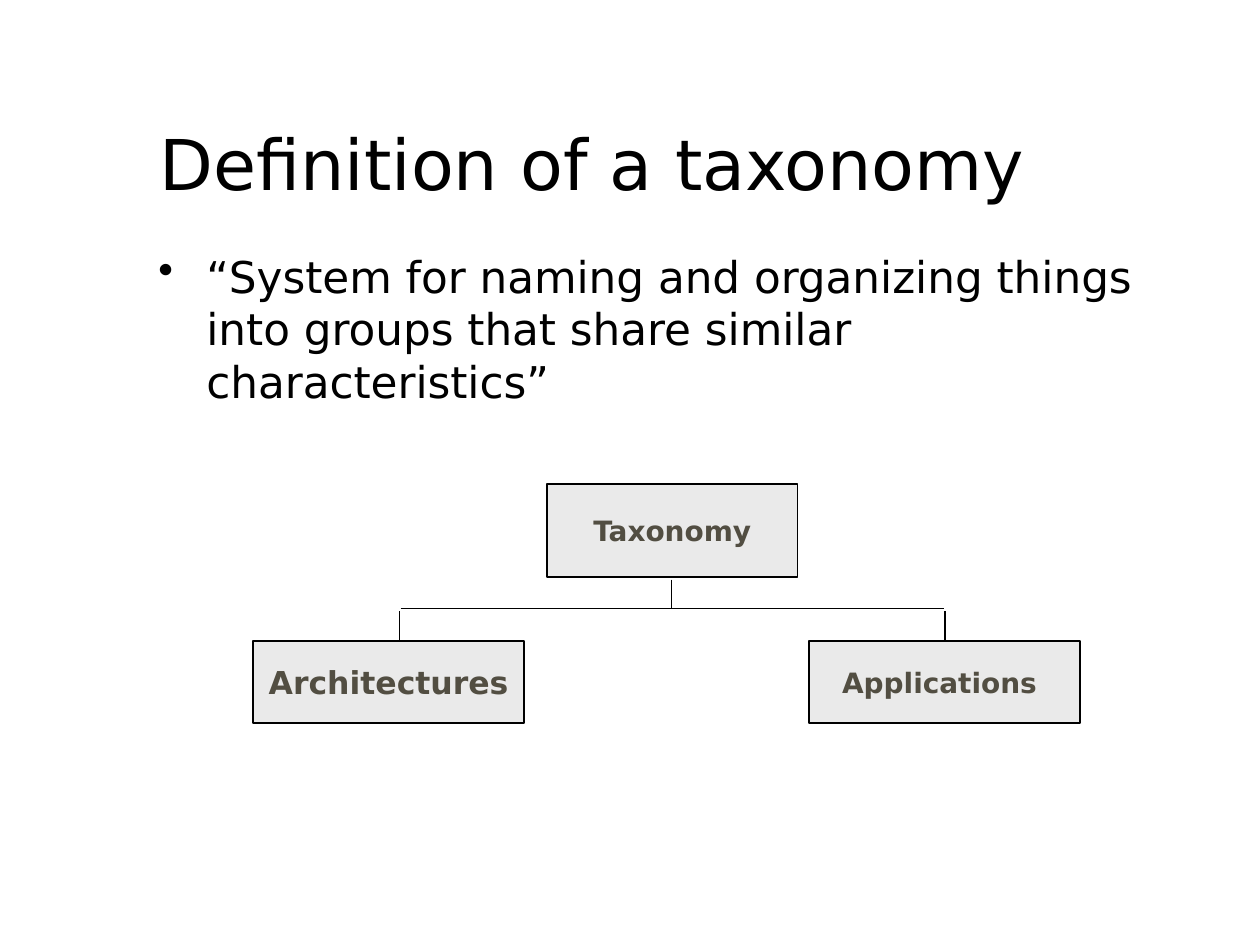
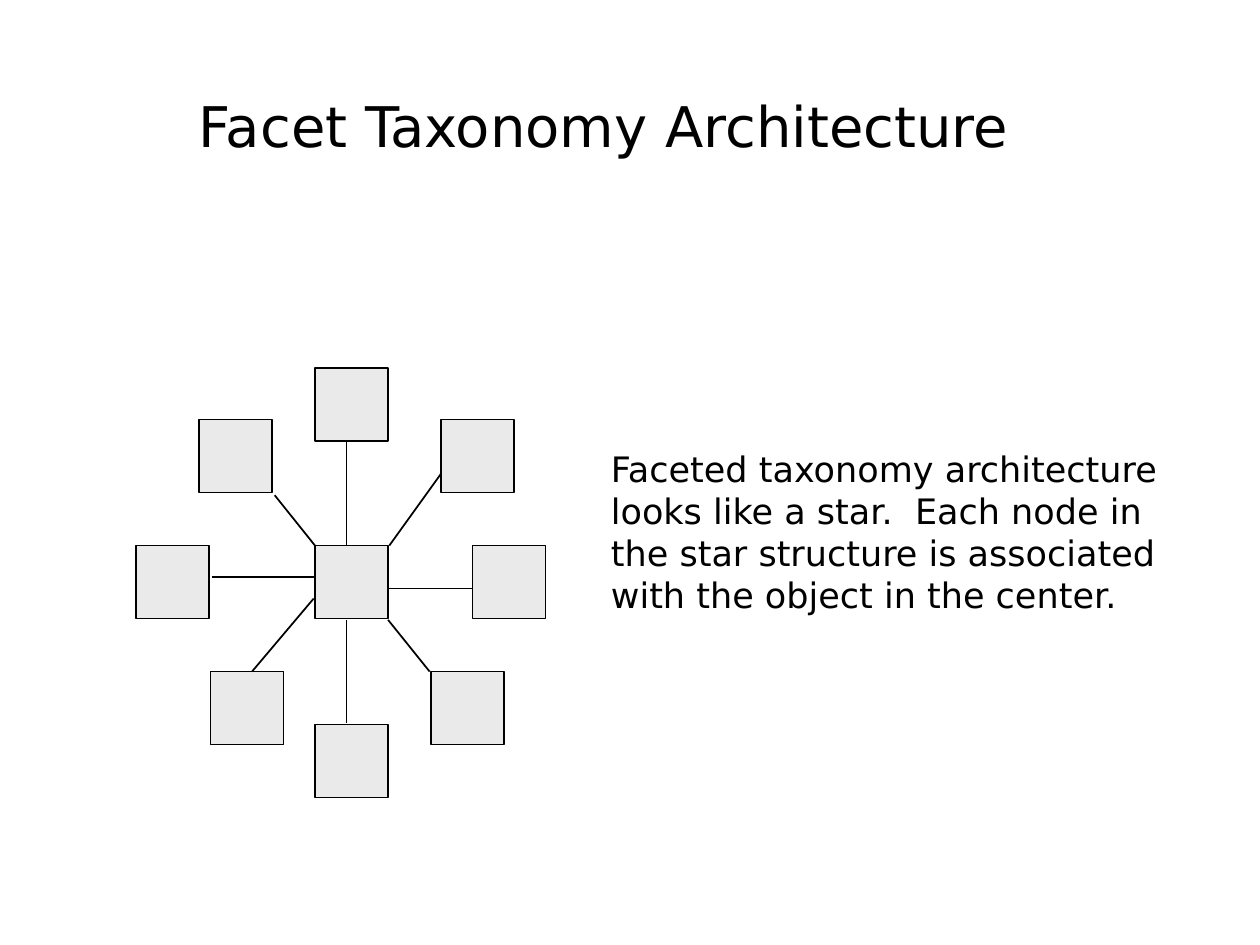
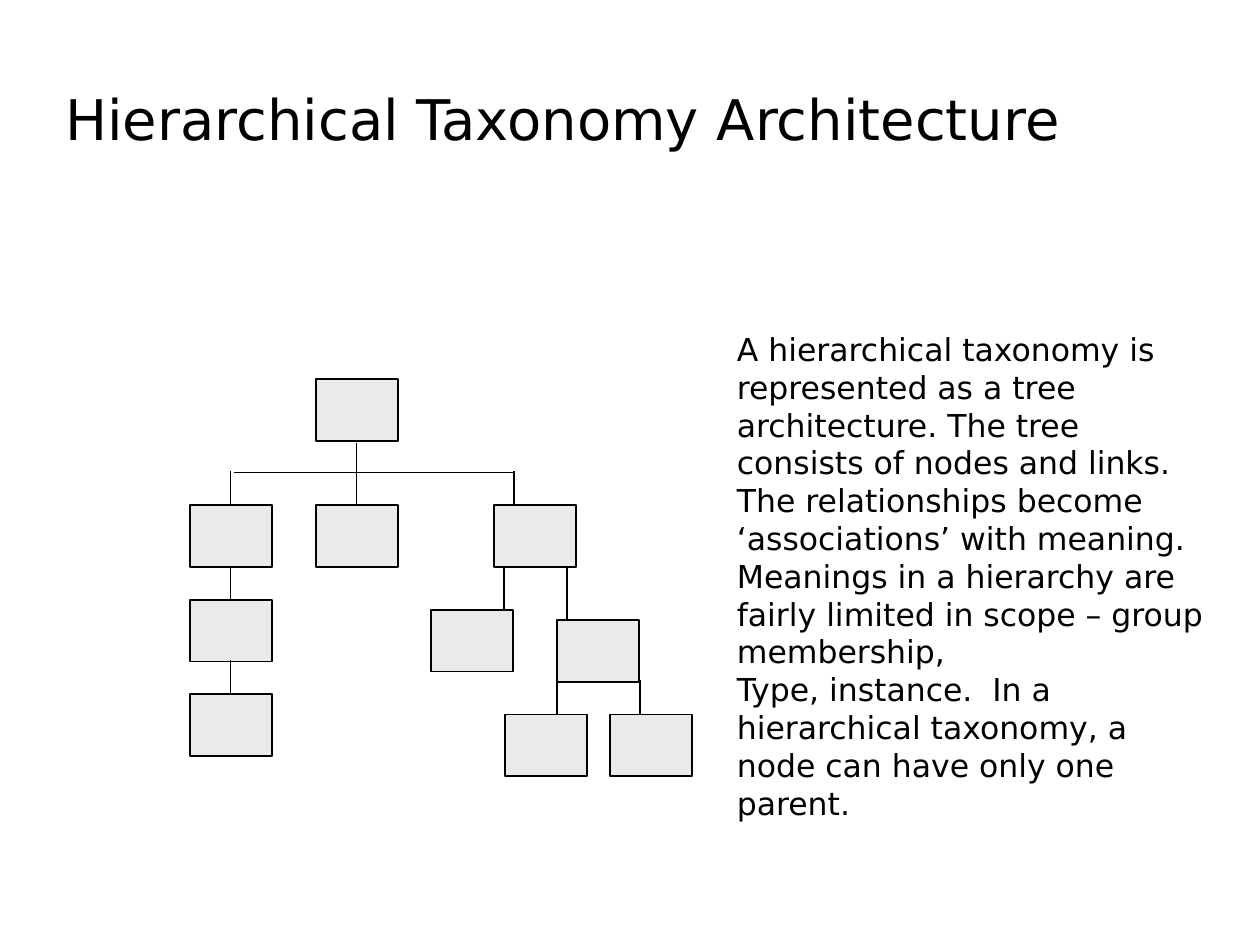
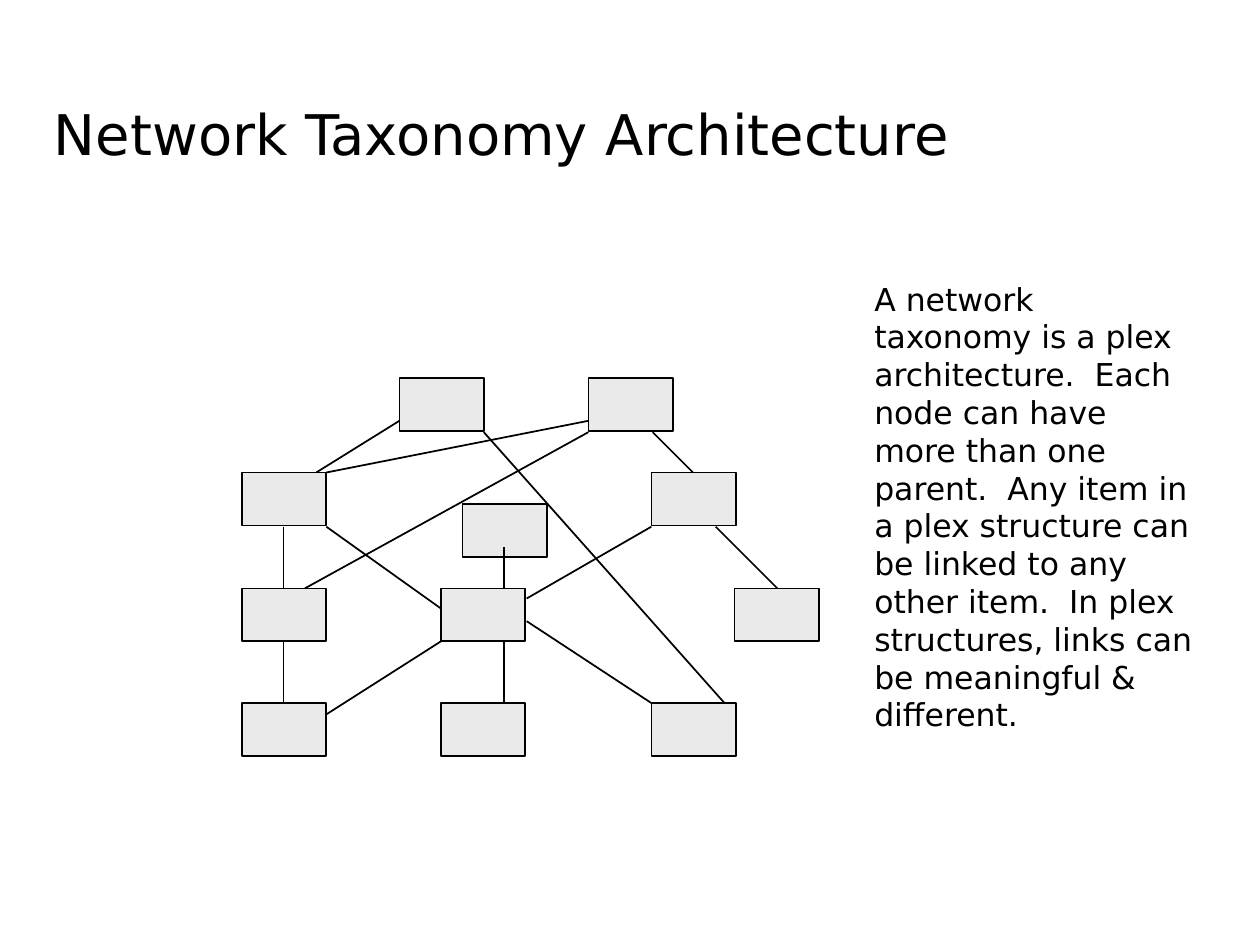
from typing import NamedTuple

from lxml.etree import SubElement
from pptx import Presentation
from pptx.dml.color import RGBColor
from pptx.enum.shapes import MSO_CONNECTOR, MSO_SHAPE
from pptx.enum.text import MSO_ANCHOR, MSO_AUTO_SIZE, PP_ALIGN
from pptx.oxml.ns import qn
from pptx.slide import Slide
from pptx.util import Emu, Pt

# Shared style: 100 px to the inch
EMU_PER_PX = 9144
FONT = "DejaVu Sans"
BLACK = "000000"
NODE_FILL = "EAEAEA"
LABEL_COLOR = "524E42"
BULLET_INDENT = 38


class Box(NamedTuple):
    left: int
    top: int
    width: int
    height: int


class Size(NamedTuple):
    width: int
    height: int


class Point(NamedTuple):
    x: int
    y: int


class Link(NamedTuple):
    x1: int
    y1: int
    x2: int
    y2: int


class LabeledNode(NamedTuple):
    label: str
    box: Box
    size: int


class Diagram(NamedTuple):
    title: str
    title_box: Box
    node_size: Size
    nodes: list[Point]
    links: list[Link]
    description: list[str]
    description_box: Box
    description_size: int


def px(length: int) -> Emu:
    return Emu(length * EMU_PER_PX)


def color(value: str) -> RGBColor:
    return RGBColor.from_string(value)


def add_run(paragraph, text: str, size: int, fill: str = BLACK, bold: bool = False) -> None:
    run = paragraph.add_run()
    run.text = text
    run.font.name = FONT
    run.font.size = Pt(size)
    run.font.bold = bold
    run.font.color.rgb = color(fill)


def add_text(slide: Slide, box: Box, paragraphs: list[str], size: int,
             anchor: MSO_ANCHOR = MSO_ANCHOR.TOP, bullet: bool = False,
             grow: bool = False) -> None:
    frame = slide.shapes.add_textbox(*map(px, box)).text_frame
    frame.word_wrap = True
    frame.vertical_anchor = anchor
    frame.auto_size = MSO_AUTO_SIZE.SHAPE_TO_FIT_TEXT if grow else MSO_AUTO_SIZE.NONE
    for index, text in enumerate(paragraphs):
        paragraph = frame.add_paragraph() if index else frame.paragraphs[0]
        if bullet:
            properties = paragraph._p.get_or_add_pPr()
            properties.set("marL", str(px(BULLET_INDENT)))
            properties.set("indent", str(px(-BULLET_INDENT)))
            SubElement(properties, qn("a:buChar")).set("char", "•")
        add_run(paragraph, text, size)


def add_title(slide: Slide, text: str, box: Box, size: int = 32) -> None:
    add_text(slide, box, [text], size, MSO_ANCHOR.BOTTOM)


def add_node(slide: Slide, box: Box, label: str = "", size: int = 16) -> None:
    node = slide.shapes.add_shape(MSO_SHAPE.RECTANGLE, *map(px, box))
    node.shadow.inherit = False
    node.fill.solid()
    node.fill.fore_color.rgb = color(NODE_FILL)
    node.line.color.rgb = color(BLACK)
    node.line.width = Pt(1)
    if label:
        frame = node.text_frame
        frame.word_wrap = False
        frame.vertical_anchor = MSO_ANCHOR.MIDDLE
        frame.paragraphs[0].alignment = PP_ALIGN.CENTER
        add_run(frame.paragraphs[0], label, size, LABEL_COLOR, bold=True)


def add_link(slide: Slide, link: Link) -> None:
    line = slide.shapes.add_connector(MSO_CONNECTOR.STRAIGHT, *map(px, link))
    line.line.color.rgb = color(BLACK)
    line.line.width = Pt(1)
    SubElement(line._element.spPr, qn("a:effectLst"))


def draw_definition(slide: Slide) -> None:
    add_title(slide, "Definition of a taxonomy", Box(117, 42, 850, 125), 40)
    add_text(slide, Box(116, 193, 850, 450),
             ["“System for naming and organizing things into groups "
              "that share similar characteristics”"], 25, bullet=True)
    for node in TAXONOMY_PARTS:
        add_node(slide, node.box, node.label, node.size)
    for link in TAXONOMY_LINKS:
        add_link(slide, link)


def draw_diagram(slide: Slide, diagram: Diagram) -> None:
    add_title(slide, diagram.title, diagram.title_box)
    for node in diagram.nodes:
        add_node(slide, Box(*node, *diagram.node_size))
    for link in diagram.links:
        add_link(slide, link)
    add_text(slide, diagram.description_box, diagram.description,
             diagram.description_size, grow=True)


# Definition: root with two branches
TAXONOMY_PARTS = [
    LabeledNode("Taxonomy", Box(434, 384, 199, 74), 16),
    LabeledNode("Architectures", Box(201, 509, 215, 65), 18),
    LabeledNode("Applications ", Box(642, 509, 215, 65), 16),
]
TAXONOMY_LINKS = [
    Link(533, 460, 533, 483),
    Link(318, 483, 749, 483),
    *(Link(x, 485, x, 508) for x in (317, 750)),
]

# Facet: star around a center node
HUB = Point(250, 433)
STAR_OFFSETS = [(0, 0), (100, -100), (125, 0), (92, 100), (0, 142),
                (-83, 100), (-142, 0), (-92, -100), (0, -141)]
FACET = Diagram(
    title="Facet Taxonomy Architecture",
    title_box=Box(148, 62, 810, 69),
    node_size=Size(58, 58),
    nodes=[Point(HUB.x + dx, HUB.y + dy) for dx, dy in STAR_OFFSETS],
    links=[
        Link(275, 351, 275, 433), Link(350, 376, 309, 433),
        Link(375, 467, 309, 467), Link(341, 533, 308, 492),
        Link(275, 574, 275, 492), Link(200, 533, 249, 475),
        Link(168, 458, 250, 458), Link(218, 393, 250, 433),
    ],
    description=["Faceted taxonomy architecture looks like a star.  Each node in "
                 "the star structure is associated with the object in the center."],
    description_box=Box(475, 350, 475, 143),
    description_size=20,
)

# Hierarchy: tree with one parent per node
HIERARCHY = Diagram(
    title="Hierarchical Taxonomy Architecture",
    title_box=Box(42, 43, 908, 82),
    node_size=Size(65, 49),
    nodes=[
        Point(251, 301),
        *(Point(x, 401) for x in (151, 251, 392)),
        Point(442, 492), Point(342, 484),
        *(Point(151, y) for y in (476, 551)),
        *(Point(x, 567) for x in (484, 401)),
    ],
    links=[
        Link(283, 352, 283, 374),
        Link(186, 375, 407, 375),
        *(Link(x, 400, x, 374) for x in (183, 283, 408)),
        *(Link(183, y, 183, y - 26) for y in (475, 550)),
        Link(400, 484, 400, 449),
        Link(450, 492, 450, 449),
        *(Link(x, 567, x, 540) for x in (442, 508)),
    ],
    description=[
        "A hierarchical taxonomy is",
        "represented as a tree architecture. The tree consists of nodes and links. "
        "The relationships become ‘associations’ with meaning.  Meanings in a "
        "hierarchy are fairly limited in scope – group membership,",
        "Type, instance.  In a hierarchical taxonomy, a node can have only one parent.",
    ],
    description_box=Box(575, 257, 392, 400),
    description_size=18,
)

# Network: any node may link to any other
NETWORK = Diagram(
    title="Network Taxonomy Architecture",
    title_box=Box(33, 68, 925, 69),
    node_size=Size(67, 42),
    nodes=[
        *(Point(x, 300) for x in (317, 467)),
        *(Point(x, 375) for x in (192, 517)),
        Point(367, 400),
        *(Point(x, 467) for x in (192, 350, 583)),
        *(Point(x, 558) for x in (192, 350, 517)),
    ],
    links=[
        Link(317, 334, 251, 375), Link(467, 334, 259, 375),
        Link(518, 343, 550, 375), Link(568, 418, 617, 467),
        Link(400, 434, 400, 467), Link(400, 509, 400, 558),
        Link(384, 343, 575, 558), Link(517, 418, 418, 475),
        Link(350, 509, 259, 567), Link(225, 418, 225, 467),
        Link(225, 509, 225, 558), Link(259, 418, 350, 483),
        Link(418, 493, 517, 558), Link(467, 343, 242, 467),
    ],
    description=["A network taxonomy is a plex architecture.  Each node can have more "
                 "than one parent.  Any item in a plex structure can be linked to any "
                 "other item.  In plex structures, links can be meaningful & different."],
    description_box=Box(684, 217, 275, 340),
    description_size=18,
)


def main() -> None:
    deck = Presentation()
    deck.slide_width, deck.slide_height = px(1000), px(750)
    blank = deck.slide_layouts[6]
    draw_definition(deck.slides.add_slide(blank))
    for diagram in (FACET, HIERARCHY, NETWORK):
        draw_diagram(deck.slides.add_slide(blank), diagram)
    deck.save("out.pptx")


if __name__ == "__main__":
    main()
